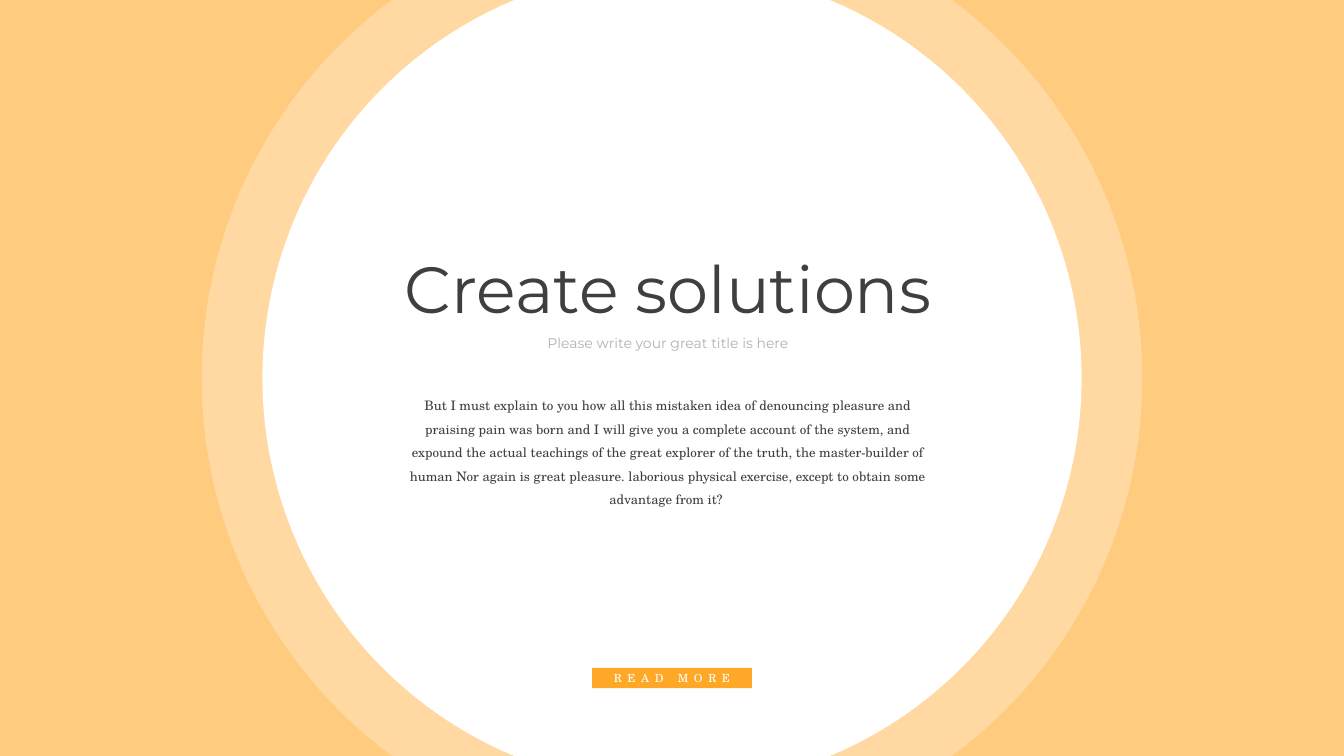
from dataclasses import dataclass
from math import asin, cos, sin, tan

from lxml import etree
from pptx import Presentation
from pptx.dml.color import RGBColor
from pptx.enum.shapes import MSO_SHAPE
from pptx.enum.text import MSO_ANCHOR, MSO_AUTO_SIZE, PP_ALIGN
from pptx.oxml.ns import qn
from pptx.util import Inches, Pt

RECTANGLE, OVAL = MSO_SHAPE.RECTANGLE, MSO_SHAPE.OVAL
TOP, MIDDLE = MSO_ANCHOR.TOP, MSO_ANCHOR.MIDDLE
CENTER = PP_ALIGN.CENTER
GROW = MSO_AUTO_SIZE.SHAPE_TO_FIT_TEXT
TITLE_ONLY = 5
WIDTH, HEIGHT = 20, 11.25


@dataclass(frozen=True)
class Theme:
    orange: str = "FFA827"
    white: str = "FFFFFF"
    dark: str = "3F3F3F"
    grey: str = "B2B2B2"
    sans: str = "Montserrat"
    serif: str = "TeX Gyre Schola"
    title_size: int = 70
    subtitle_size: int = 15
    body_size: int = 14
    button_size: int = 12


THEME = Theme()


def paint(shape, color, opacity=100):
    """Give a flat fill, with opacity in percent, and no line or shadow."""
    shape.shadow.inherit = False
    shape.line.fill.background()
    shape.fill.solid()
    shape.fill.fore_color.rgb = RGBColor.from_string(color)
    if opacity < 100:
        color_element = shape.fill._xPr.find(qn("a:solidFill"))[0]
        etree.SubElement(color_element, qn("a:alpha"), val=str(opacity * 1000))


def add_panel(slide, kind, box, color, opacity=100):
    panel = slide.shapes.add_shape(kind, *map(Inches, box))
    paint(panel, color, opacity)
    return panel


def write(shape, text, font, size, color, anchor=TOP):
    frame = shape.text_frame
    frame.text = text
    frame.word_wrap = True
    frame.auto_size = GROW
    frame.vertical_anchor = anchor
    paragraph = frame.paragraphs[0]
    paragraph.alignment = CENTER
    run_font = paragraph.runs[0].font
    run_font.name = font
    run_font.size = Pt(size)
    run_font.color.rgb = RGBColor.from_string(color)
    return paragraph


def merge_into_curves(segments):
    """Turn each three line segments into one Bézier curve."""
    for start in range(0, len(segments), 3):
        curve = etree.Element(qn("a:cubicBezTo"))
        segments[start].addprevious(curve)
        for segment in segments[start:start + 3]:
            curve.append(segment[0])
            segment.getparent().remove(segment)


def add_halo(slide, box, radius):
    """Draw a translucent circle, centred in the box and cut at its top and bottom."""
    left, top, width, height = box
    center_x, center_y = left + width / 2, top + height / 2
    cut = asin(height / 2 / radius)
    handle = 4 / 3 * tan(cut / 4) * radius
    corner_x, corner_y = radius * cos(cut), radius * sin(cut)
    control_x, control_y = corner_x + handle * sin(cut), corner_y - handle * cos(cut)
    right_side = [(corner_x, -corner_y), (control_x, -control_y),
                  (radius, -handle), (radius, 0), (radius, handle),
                  (control_x, control_y), (corner_x, corner_y)]
    left_side = [(-x, -y) for x, y in right_side]
    points = [(Inches(center_x + x), Inches(center_y + y))
              for x, y in right_side + left_side]
    builder = slide.shapes.build_freeform(*points[0])
    builder.add_line_segments(points[1:], close=True)
    halo = builder.convert_to_shape()
    lines = list(halo.element.iter(qn("a:lnTo")))
    arc = len(right_side) - 1
    merge_into_curves(lines[:arc])
    merge_into_curves(lines[arc + 1:2 * arc + 1])
    paint(halo, THEME.white, 27)


def add_backdrop(slide, box):
    left, top, width, height = box
    add_panel(slide, RECTANGLE, box, THEME.orange, 59)
    add_halo(slide, box, radius=7)
    diameter = 12.19
    disc = (left + (width - diameter) / 2, top + (height - diameter) / 2,
            diameter, diameter)
    add_panel(slide, OVAL, disc, THEME.white)


def add_heading(slide, box):
    left, top, width, height = box
    title = slide.shapes.title
    title.element.getparent().append(title.element)  # in front of the backdrop
    title_height = 1.29
    title.left, title.top = Inches(left), Inches(top)
    title.width, title.height = Inches(width), Inches(title_height)
    write(title, "Create solutions", THEME.sans, THEME.title_size, THEME.dark)

    subtitle_width = 6.7
    subtitle = slide.shapes.add_textbox(
        Inches(left + (width - subtitle_width) / 2), Inches(top + title_height),
        Inches(subtitle_width), Inches(height - title_height))
    write(subtitle, "Please write your great title is here",
          THEME.sans, THEME.subtitle_size, THEME.grey)


def add_body(slide, box):
    body = slide.shapes.add_textbox(*map(Inches, box))
    paragraph = write(
        body,
        "But I must explain to you how all this mistaken idea of denouncing "
        "pleasure and praising pain was born and I will give you a complete "
        "account of the system, and expound the actual teachings of the great "
        "explorer of the truth, the master-builder of human Nor again is great "
        "pleasure. laborious physical exercise, except to obtain some "
        "advantage from it? ",
        THEME.serif, THEME.body_size, THEME.dark)
    paragraph.line_spacing = 1.5


def add_button(slide, box):
    button = add_panel(slide, RECTANGLE, box, THEME.orange)
    label = write(button, "READ MORE", THEME.serif, THEME.button_size,
                  THEME.white, MIDDLE)
    label.runs[0].font._element.set("spc", "600")


def main():
    deck = Presentation()
    deck.slide_width, deck.slide_height = Inches(WIDTH), Inches(HEIGHT)
    slide = deck.slides.add_slide(deck.slide_layouts[TITLE_ONLY])
    add_backdrop(slide, (0, 0, WIDTH, HEIGHT))
    add_heading(slide, (3.19, 3.64, 13.5, 1.64))
    add_body(slide, (5.86, 5.75, 8.16, 1.87))
    add_button(slide, (8.81, 9.94, 2.38, 0.3))
    deck.save("out.pptx")


if __name__ == "__main__":
    main()
